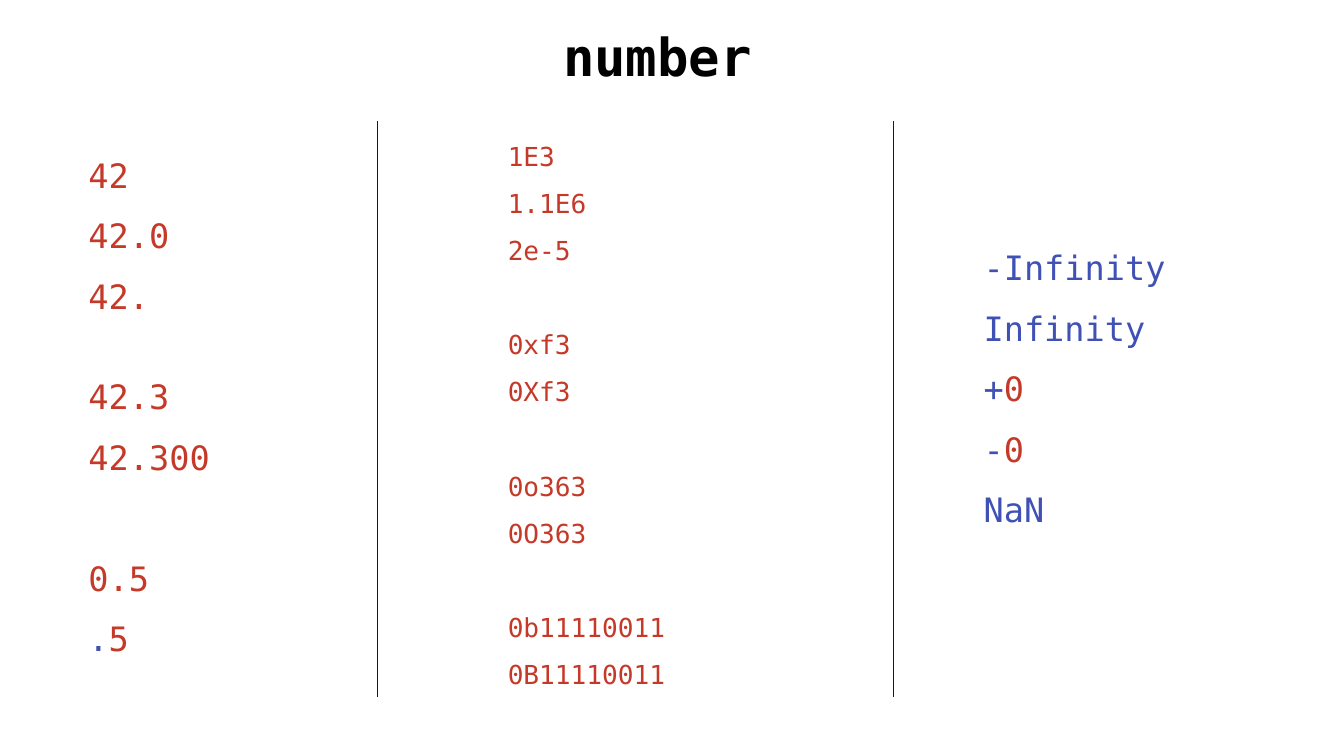
"""Build a slide that lists the ways to write a number."""
from pptx import Presentation
from pptx import util as u
from pptx.dml.color import RGBColor
from pptx.enum import shapes, text
from pptx.oxml.ns import qn
from lxml import etree

RED = RGBColor(0xC5, 0x39, 0x29)
BLUE = RGBColor(0x3F, 0x51, 0xB5)
BLACK = RGBColor(0, 0, 0)
GREY = RGBColor(0x1A, 0x1A, 0x1A)
FONT = "DejaVu Sans Mono"


def style(run, size, color):
    run.font.name = FONT
    run.font.size = u.Pt(size)
    run.font.color.rgb = color


def frame(shape, top=0.1):
    box = shape.text_frame
    box.word_wrap = True
    box.auto_size = text.MSO_AUTO_SIZE.NONE
    box.vertical_anchor = text.MSO_ANCHOR.TOP
    box.margin_left = box.margin_right = box.margin_bottom = u.Inches(0.1)
    box.margin_top = u.Inches(top)
    return box


deck = Presentation()
deck.slide_width = u.Inches(10)
deck.slide_height = deck.slide_width * 9 // 16
slide = deck.slides.add_slide(deck.slide_layouts[5])

title = slide.shapes.title
title.left, title.top = u.Inches(4.09), u.Inches(0.08)
title.width, title.height = u.Inches(1.82), u.Inches(0.59)
head = frame(title)
head.text = "number"
head.paragraphs[0].alignment = text.PP_ALIGN.LEFT
style(head.paragraphs[0].runs[0], 28, BLACK)
head.paragraphs[0].runs[0].font.bold = True

columns = [
    ((0.56, 0.9, 6.51, 4.08), 0.1, 18,
     [(0, "42 42.0 42."), (21.6, "42.3 42.300"), (32.4, "0.5 .5")]),
    ((3.68, 0.6, 3.04, 4.69), 0.33, 14,
     [(0, "1E3 1.1E6 2e-5"), (25.2, "0xf3 0Xf3"),
      (25.2, "0o363 0O363"), (25.2, "0b11110011 0B11110011")]),
    ((7.22, 1.59, 2.03, 2.33), 0.1, 18,
     [(0, "-Infinity Infinity +0 -0 NaN")]),
]

for place, top, size, groups in columns:
    box = frame(slide.shapes.add_textbox(*map(u.Inches, place)), top)
    for row, (gap, words) in enumerate(groups):
        para = box.add_paragraph() if row else box.paragraphs[0]
        para.line_spacing = 1.5
        para.space_before = u.Pt(gap)
        for spot, word in enumerate(words.split()):
            if spot:
                para.add_line_break()
            rest = word.lstrip("+-.")
            sign = word[:len(word) - len(rest)]
            color = RED if rest[0].isdigit() else BLUE
            for part, tint in ((sign, BLUE), (rest, color)):
                if part:
                    run = para.add_run()
                    run.text = part
                    style(run, size, tint)

for left in (2.81, 6.65):
    rule = slide.shapes.add_connector(
        shapes.MSO_CONNECTOR.STRAIGHT,
        u.Inches(left), u.Inches(0.9), u.Inches(left), u.Inches(5.19))
    rule.line.color.rgb = GREY
    rule.line.width = u.Pt(0.75)
    etree.SubElement(rule._element.spPr, qn("a:effectLst"))

deck.save("out.pptx")
